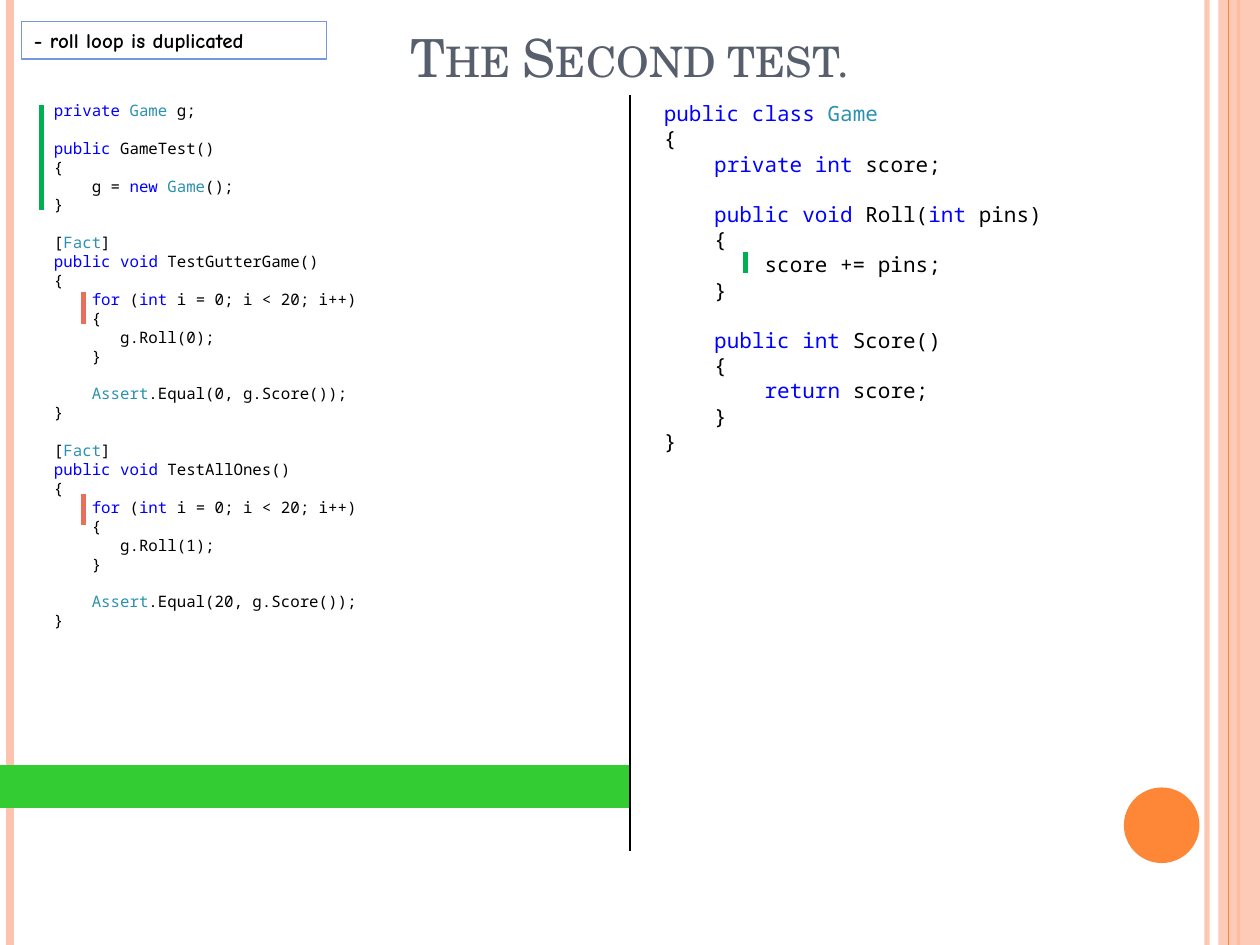
"""Build the slide that shows the second test beside the class it tests."""
import itertools

import pptx
import pptx.dml.color
import pptx.enum.shapes
import pptx.enum.text
import pptx.oxml.ns
import pptx.util
from lxml import etree

Inches, Pt = pptx.util.Inches, pptx.util.Pt
SHAPES = pptx.enum.shapes.MSO_SHAPE
ANCHORS = pptx.enum.text.MSO_ANCHOR
ALIGN = pptx.enum.text.PP_ALIGN

WIDTH, HEIGHT = 10, 7.5
MIDDLE = WIDTH / 2
COLORS = {
    "peach": "FEC3AE", "orange": "FE8637", "slate": "575F6D", "blue": "7598D9",
    "bar": "33CC33", "added": "00B050", "duplicate": "EB6E5A",
    "keyword": "0000FF", "type": "2B91AF", "plain": "000000",
}
CODE_FONT, NOTE_FONT, TITLE_FONT = "Noto Sans Mono", "Comic Neue", "TeX Gyre Schola"
LINE_PITCH, CHARACTER_WIDTH = 1.2, 0.6
WORDS = dict.fromkeys("private public class int void new for return".split(), "keyword")
WORDS.update(dict.fromkeys(["Game", "Fact", "Assert"], "type"))

TITLE = "The Second test."
NOTE = "- roll loop is duplicated"
TEST_CODE = """private Game g;

public GameTest()
{
    g = new Game();
}

[Fact]
public void TestGutterGame()
{
    for (int i = 0; i < 20; i++)
    {
       g.Roll(0);
    }

    Assert.Equal(0, g.Score());
}

[Fact]
public void TestAllOnes()
{
    for (int i = 0; i < 20; i++)
    {
       g.Roll(1);
    }

    Assert.Equal(20, g.Score());
}"""
GAME_CODE = """public class Game
{
    private int score;

    public void Roll(int pins)
    {
        score += pins;
    }

    public int Score()
    {
        return score;
    }
}"""
CODE_BOXES = [(TEST_CODE, 9, (0.33, 0.75, 4.42, 4.49)),
              (GAME_CODE, 12, (5.17, 0.75, 4.67, 3.13))]
SIDE_LINES = [(9.58, "peach", 3, 93), (0.08, "peach", 4.5, 100), (9.83, "orange", 1.5, 100)]
MARKERS = [(0.33, 0.83, 1.67, "added"), (0.66, 2.32, 2.57, "duplicate"),
           (0.66, 3.92, 4.17, "duplicate"), (5.92, 2, 2.17, "added")]


def color(name):
    return pptx.dml.color.RGBColor.from_string(COLORS[name])


def set_opacity(fill_owner, percent):
    for element in fill_owner.iter(pptx.oxml.ns.qn("a:srgbClr")):
        etree.SubElement(element, pptx.oxml.ns.qn("a:alpha"), val=str(percent * 1000))


def add_vertical(slide, x, top, bottom, line_color, width, opacity=100):
    connector = slide.shapes.add_connector(
        pptx.enum.shapes.MSO_CONNECTOR.STRAIGHT,
        Inches(x), Inches(top), Inches(x), Inches(bottom))
    connector.line.color.rgb = color(line_color)
    connector.line.width = Pt(width)
    properties = connector._element.spPr
    if opacity < 100:
        set_opacity(properties, opacity)
    etree.SubElement(properties, pptx.oxml.ns.qn("a:effectLst"))


def add_shape(slide, preset, box, fill=None, line=None):
    shape = slide.shapes.add_shape(preset, *map(Inches, box))
    shape.shadow.inherit = False
    if fill:
        shape.fill.solid()
        shape.fill.fore_color.rgb = color(fill)
    else:
        shape.fill.background()
    if line:
        shape.line.color.rgb = color(line)
        shape.line.width = Pt(0.75)
    else:
        shape.line.fill.background()
    return shape


def add_run(paragraph, text, font, size, text_color, bold=False):
    run = paragraph.add_run()
    run.text = text
    run.font.name, run.font.size, run.font.bold = font, Pt(size), bold
    run.font.color.rgb = color(text_color)
    return run


def colored_pieces(text):
    pieces = []
    for _, letters in itertools.groupby(text, key=str.isalnum):
        piece = "".join(letters)
        kind = WORDS.get(piece, "plain")
        if pieces and (piece == " " or kind == pieces[-1][1]):
            pieces[-1] = (pieces[-1][0] + piece, pieces[-1][1])
        else:
            pieces.append((piece, kind))
    return pieces


def add_code(slide, code, size, box):
    frame = slide.shapes.add_textbox(*map(Inches, box)).text_frame
    frame.word_wrap = True
    paragraph, blank_above = frame.paragraphs[0], False
    for number, line in enumerate(code.splitlines()):
        if not line:
            blank_above = True
            continue
        if number:
            paragraph = frame.add_paragraph()
        text = line.lstrip()
        indent = Pt((len(line) - len(text)) * CHARACTER_WIDTH * size)
        paragraph._p.get_or_add_pPr().set("marL", str(indent))
        paragraph.line_spacing = Pt(LINE_PITCH * size)
        paragraph.space_before = Pt(LINE_PITCH * size if blank_above else 0)
        blank_above = False
        for piece, kind in colored_pieces(text):
            add_run(paragraph, piece, CODE_FONT, size, kind)


presentation = pptx.Presentation()
presentation.slide_width, presentation.slide_height = Inches(WIDTH), Inches(HEIGHT)
slide = presentation.slides.add_slide(presentation.slide_layouts[5])

for x, line_color, width, opacity in SIDE_LINES:
    add_vertical(slide, x, 0, HEIGHT, line_color, width, opacity)
side_band = add_shape(slide, SHAPES.RECTANGLE, (9.67, 0, 0.33, HEIGHT), "peach")
set_opacity(side_band._element.spPr, 87)
add_vertical(slide, 9.75, 0, HEIGHT, "orange", 0.75)
add_shape(slide, SHAPES.OVAL, (8.92, 6.25, 0.6, 0.6), "orange")

title = slide.shapes.title
title.left, title.top, title.width, title.height = map(Inches, (0.5, 0, 9, 0.75))
title.text_frame.vertical_anchor = ANCHORS.BOTTOM
heading = title.text_frame.paragraphs[0]
heading.alignment = ALIGN.CENTER
title_run = add_run(heading, TITLE, TITLE_FONT, 30, "slate")
title_run.font._element.set("cap", "small")

note = add_shape(slide, SHAPES.RECTANGLE, (0.17, 0.17, 2.42, 0.3), line="blue")
note.text_frame.word_wrap = True
note.text_frame.vertical_anchor = ANCHORS.MIDDLE
note_paragraph = note.text_frame.paragraphs[0]
note_paragraph.alignment = ALIGN.LEFT
add_run(note_paragraph, NOTE, NOTE_FONT, 12, "plain", bold=True)

add_shape(slide, SHAPES.RECTANGLE, (0, 6.08, MIDDLE, 0.33), "bar", "bar")
for code, size, box in CODE_BOXES:
    add_code(slide, code, size, box)
for x, top, bottom, marker_color in MARKERS:
    add_vertical(slide, x, top, bottom, marker_color, 2.75)
add_vertical(slide, MIDDLE, 0.75, 6.75, "plain", 1)

presentation.save("out.pptx")
